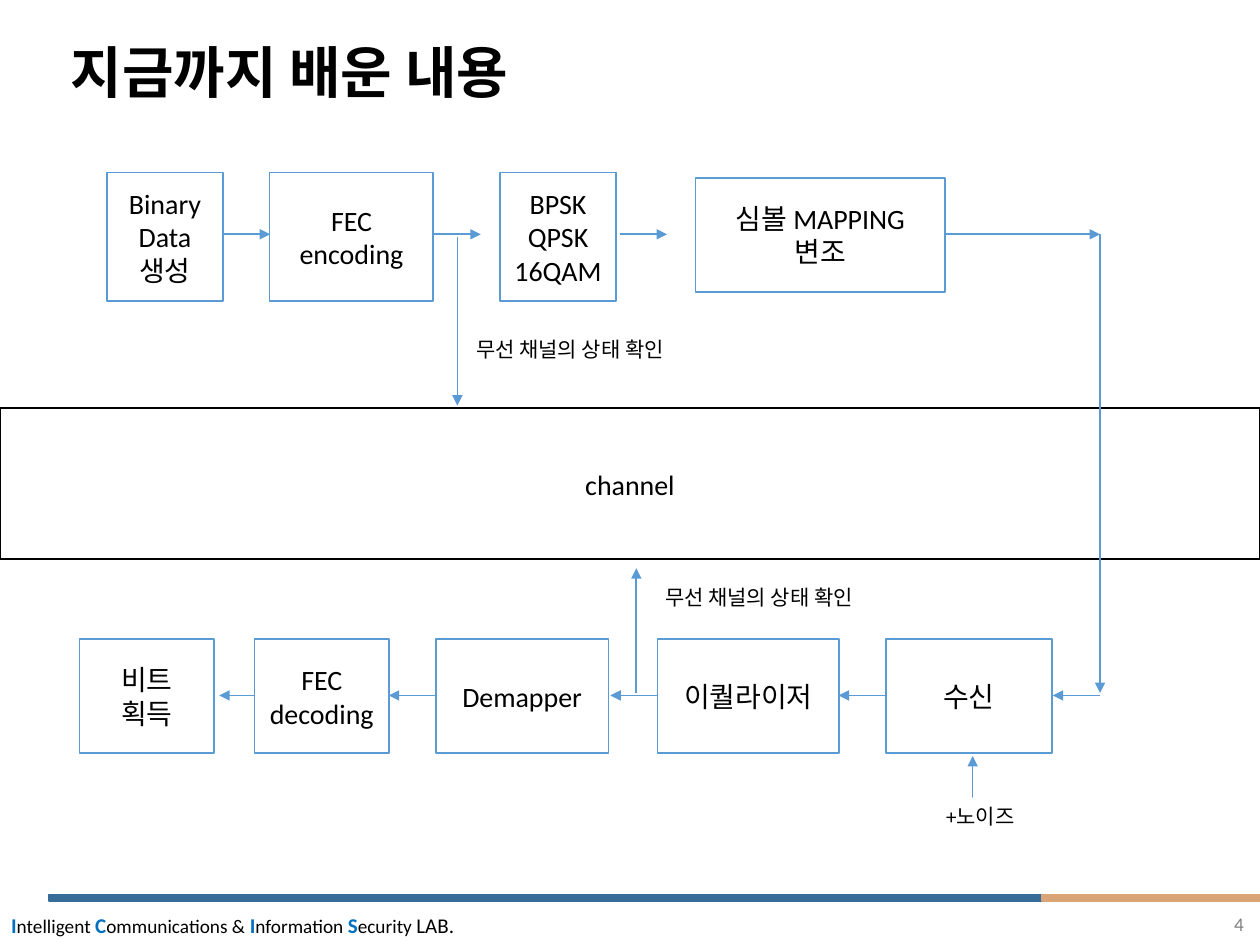
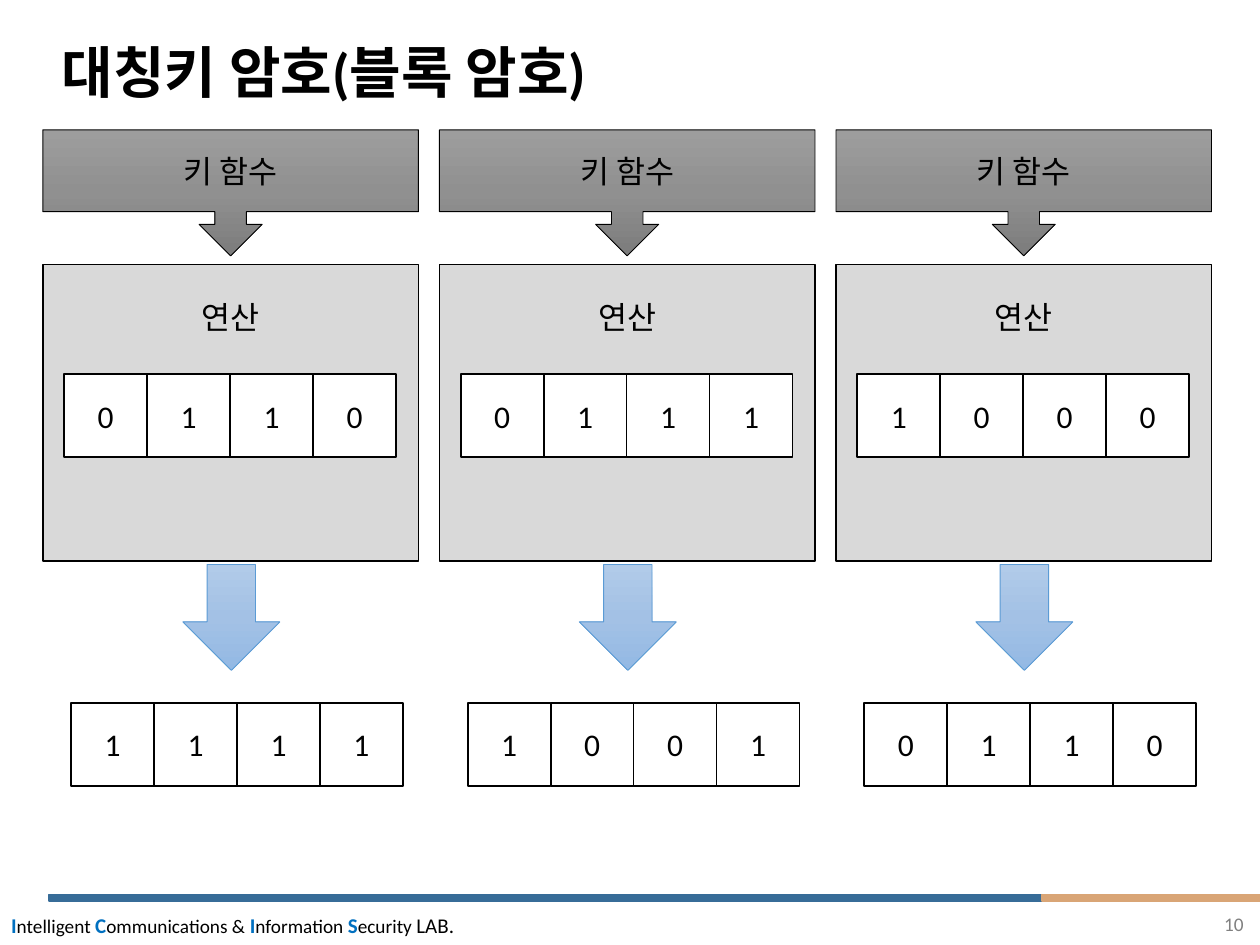
from copy import deepcopy
from dataclasses import dataclass
from typing import Any, NamedTuple, Optional

from lxml.etree import SubElement
from pptx import Presentation
from pptx.dml.color import RGBColor
from pptx.enum.shapes import MSO_CONNECTOR, MSO_SHAPE
from pptx.enum.text import MSO_ANCHOR, MSO_AUTO_SIZE, PP_ALIGN
from pptx.oxml.ns import qn
from pptx.shapes.autoshape import Shape
from pptx.slide import Slide
from pptx.util import Pt

FONT = "Calibri"
COLORS = {
    "white": "FFFFFF", "black": "000000", "blue": "5B9BD5", "panel": "D9D9D9",
    "band": "376C98", "band_end": "D9A576", "initial": "0070C0", "number": "808080",
}
GRADIENTS = {
    "key": ("9D9D9D", "909090", "7C7C7C"),
    "flow": ("B1CBE9", "A3C1E5", "93B9E4"),
}
LAB_NAME = (("I", "ntelligent "), ("C", "ommunications & "),
            ("I", "nformation "), ("S", "ecurity "))


class Area(NamedTuple):
    left: float
    top: float
    width: float
    height: float


@dataclass
class Style:
    fill: Optional[str] = "white"
    gradient: Optional[str] = None
    line: Optional[str] = "black"
    line_width: float = 1
    size: float = 18
    kind: MSO_SHAPE = MSO_SHAPE.RECTANGLE


class Box(NamedTuple):
    text: str
    area: Area


class Arrow(NamedTuple):
    x1: float
    y1: float
    x2: float
    y2: float


class Block(NamedTuple):
    source_bits: str
    result_bits: str


STEP = Style(line="blue", size=16)
CHANNEL = Style(size=16)
PANEL = Style(fill="panel")
BIT = Style()
KEY = Style(gradient="key", line_width=0.5, kind=MSO_SHAPE.DOWN_ARROW_CALLOUT)
FLOW = Style(gradient="flow", line="blue", line_width=0.5, kind=MSO_SHAPE.DOWN_ARROW)


# Shared helpers
def rgb(name: str) -> RGBColor:
    return RGBColor.from_string(COLORS[name])


def pts(values: tuple) -> list:
    return [Pt(v) for v in values]


def format_run(r: Any, size: float, color: str = "black", bold: bool = False) -> None:
    r.font.name = FONT
    r.font.size = Pt(size)
    r.font.bold = bold
    r.font.color.rgb = rgb(color)


def set_text(sp: Shape, text: str, size: float, color: str = "black",
             align: PP_ALIGN = PP_ALIGN.CENTER, bold: bool = False) -> None:
    tf = sp.text_frame
    tf.text = text
    for p in tf.paragraphs:
        p.alignment = align
        for r in p.runs:
            format_run(r, size, color, bold)


def fill_gradient(sp: Shape, stops: tuple) -> None:
    sp.fill.gradient()
    sp.fill.gradient_angle = 270
    gs_list = sp._element.spPr.find(".//" + qn("a:gsLst"))
    gs_list.insert(1, deepcopy(gs_list[0]))
    for i, (stop, color) in enumerate(zip(sp.fill.gradient_stops, stops)):
        stop.position = i / (len(stops) - 1)
        stop.color.rgb = RGBColor.from_string(color)


def add_box(shapes: Any, area: Area, style: Style, text: str = "") -> Shape:
    sp = shapes.add_shape(style.kind, *pts(area))
    sp.shadow.inherit = False
    if style.gradient:
        fill_gradient(sp, GRADIENTS[style.gradient])
    else:
        sp.fill.solid()
        sp.fill.fore_color.rgb = rgb(style.fill)
    sp.line.color.rgb = rgb(style.line)
    sp.line.width = Pt(style.line_width)
    if text:
        sp.text_frame.vertical_anchor = MSO_ANCHOR.MIDDLE
        set_text(sp, text, style.size)
    return sp


def add_arrow(s: Slide, arrow: Arrow) -> None:
    cxn = s.shapes.add_connector(MSO_CONNECTOR.STRAIGHT, *pts(arrow))
    cxn.line.color.rgb = rgb("blue")
    cxn.line.width = Pt(1)
    sp_pr = cxn._element.spPr
    SubElement(sp_pr.find(qn("a:ln")), qn("a:tailEnd"), type="triangle")
    SubElement(sp_pr, qn("a:effectLst"))


def add_label(s: Slide, label: Box) -> None:
    sp = s.shapes.add_textbox(*pts(label.area))
    sp.fill.solid()
    sp.fill.fore_color.rgb = rgb("white")
    sp.text_frame.word_wrap = False
    sp.text_frame.auto_size = MSO_AUTO_SIZE.SHAPE_TO_FIT_TEXT
    set_text(sp, label.text, 12, align=PP_ALIGN.LEFT)


def add_footer(s: Slide, number: int) -> None:
    for area, color in ((Area(28, 511.2, 571, 3.6), "band"),
                        (Area(595.4, 511.2, 124.6, 3.6), "band_end")):
        add_box(s.shapes, area, Style(fill=color, line=color))

    tb = s.shapes.add_textbox(*pts(Area(-0.7, 517.7, 269.3, 21.6)))
    tf = tb.text_frame
    tf.word_wrap = False
    tf.auto_size = MSO_AUTO_SIZE.SHAPE_TO_FIT_TEXT
    p = tf.paragraphs[0]
    runs = [(initial, 12, "initial", True, rest) for initial, rest in LAB_NAME]
    for initial, size, color, bold, rest in runs:
        r = p.add_run()
        r.text = initial
        format_run(r, size, color, bold)
        r = p.add_run()
        r.text = rest
        format_run(r, 11)
    r = p.add_run()
    r.text = "LAB."
    format_run(r, 12)

    tb = s.shapes.add_textbox(*pts(Area(555.8, 517.7, 162, 28.8)))
    tb.text_frame.word_wrap = True
    set_text(tb, str(number), 11, "number", PP_ALIGN.RIGHT)


def new_slide(prs: Any, title: str, title_left: float, number: int) -> Slide:
    s = prs.slides.add_slide(prs.slide_layouts[5])
    sp = s.shapes.title
    sp.left, sp.top, sp.width, sp.height = pts(Area(title_left, 14.4, 663.1, 56.9))
    sp.text_frame.vertical_anchor = MSO_ANCHOR.MIDDLE
    set_text(sp, title, 32, align=PP_ALIGN.LEFT, bold=True)
    sp.text_frame.paragraphs[0].line_spacing = 0.9
    add_footer(s, number)
    return s


# Slide: transmission chain
SEND_TOP, SEND_HEIGHT, SEND_MID = 98.6, 73.4, 133.9
RECEIVE_TOP, RECEIVE_HEIGHT, RECEIVE_MID = 365, 65.5, 397.4
LINK_X, HOP = 628.6, 27

SEND_STEPS = [
    Box("Binary\nData\n생성", Area(61.2, SEND_TOP, 66.2, SEND_HEIGHT)),
    Box("FEC\nencoding", Area(154.1, SEND_TOP, 93.6, SEND_HEIGHT)),
    Box("BPSK\nQPSK\n16QAM", Area(285.8, SEND_TOP, 66.2, SEND_HEIGHT)),
    Box("심볼 MAPPING\n변조", Area(397.4, 101.5, 142.6, RECEIVE_HEIGHT)),
]
RECEIVE_STEPS = [
    Box(text, Area(left, RECEIVE_TOP, width, RECEIVE_HEIGHT))
    for text, left, width in (
        ("비트\n획득", 45.4, 77), ("FEC\ndecoding", 145.4, 77), ("Demapper", 249.1, 98.6),
        ("이퀄라이저", 375.8, 103.7), ("수신", 506.2, 95))
]
CHAIN_ARROWS = (
    [Arrow(x, SEND_MID, x + HOP, SEND_MID) for x in (127.4, 247.7, 354.2)]
    + [Arrow(x, RECEIVE_MID, x - HOP, RECEIVE_MID) for x in (LINK_X, 506.2, 375.8, 249.1)]
    + [
        Arrow(540, SEND_MID, LINK_X, SEND_MID),
        Arrow(LINK_X, SEND_MID, LINK_X, 396),
        Arrow(145.4, RECEIVE_MID, 125.3, RECEIVE_MID),
        Arrow(261.4, 135.4, 261.4, 231.8),
        Arrow(363.6, 396, 363.6, 324.7),
        Arrow(555.8, 468, 555.8, 432),
    ]
)
CHAIN_LABELS = [
    Box("무선 채널의 상태 확인", Area(265, 188.6, 131.8, 21.6)),
    Box("무선 채널의 상태 확인", Area(373, 330.5, 131.8, 21.6)),
    Box("+노이즈", Area(533.5, 455.8, 56.9, 21.6)),
]


def build_chain(prs: Any) -> None:
    s = new_slide(prs, "지금까지 배운 내용", 33.1, 4)
    add_box(s.shapes, Area(0, 233.3, 720, 86.4), CHANNEL, "channel")
    for step in SEND_STEPS + RECEIVE_STEPS:
        add_box(s.shapes, step.area, STEP, step.text)
    for arrow in CHAIN_ARROWS:
        add_arrow(s, arrow)
    for label in CHAIN_LABELS:
        add_label(s, label)


# Slide: block cipher
COLUMN_LEFT, COLUMN_PITCH, COLUMN_WIDTH = 24.5, 226.6, 214.6
CELL = 47.4
BLOCKS = [Block("0110", "1111"), Block("0111", "1001"), Block("1000", "0110")]


def add_bits(s: Slide, left: float, top: float, bits: str) -> None:
    group = s.shapes.add_group_shape()
    for i, bit in enumerate(bits):
        add_box(group.shapes, Area(left + i * CELL, top, CELL, CELL), BIT, bit)


def build_cipher(prs: Any) -> None:
    s = new_slide(prs, "대칭키 암호(블록 암호)", 28.1, 10)
    for i, block in enumerate(BLOCKS):
        left = COLUMN_LEFT + i * COLUMN_PITCH
        panel = add_box(s.shapes, Area(left, 151.2, COLUMN_WIDTH, 169.2), PANEL, "연산")
        panel.text_frame.vertical_anchor = MSO_ANCHOR.TOP
        panel.text_frame.margin_top = Pt(19)
        add_bits(s, left + 12.2, 213.8, block.source_bits)
        add_bits(s, left + 16.2, 401.6, block.result_bits)
        add_box(s.shapes, Area(left + 80, 322.6, 55.4, 60.5), FLOW)
        add_box(s.shapes, Area(left, 74.2, COLUMN_WIDTH, 72), KEY, "키 함수")


def main() -> None:
    prs = Presentation()
    prs.slide_width, prs.slide_height = Pt(720), Pt(540)
    build_chain(prs)
    build_cipher(prs)
    prs.save("out.pptx")


if __name__ == "__main__":
    main()
